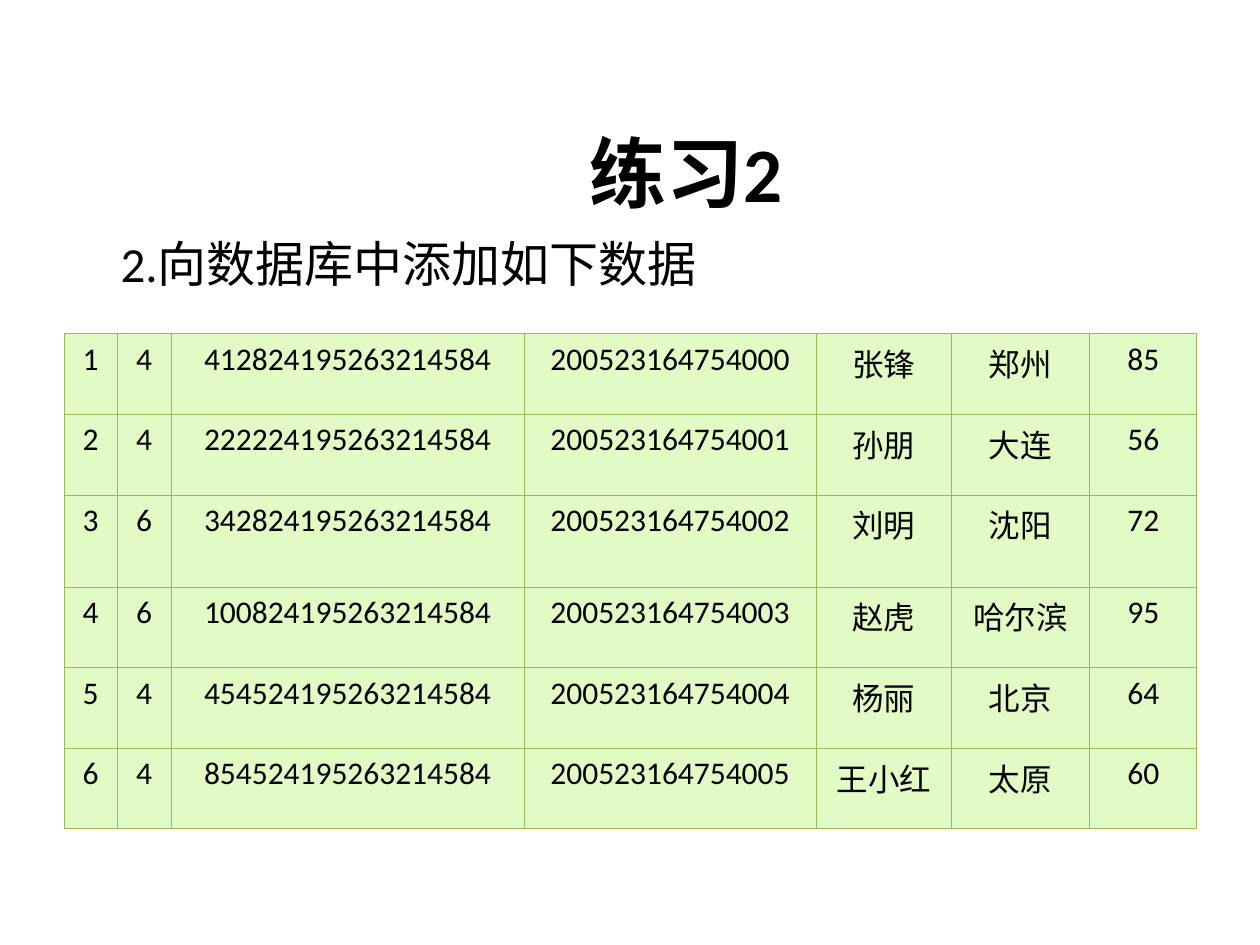
import pptx
import pptx.util
import pptx.dml.color
import pptx.enum.text
import pptx.oxml
import pptx.oxml.ns
from pptx.util import Inches

HUES = {"ink": "000000", "cell": "E2FAC3", "edge": "98B955"}
FONT = "Calibri"
ALIGN = pptx.enum.text.PP_ALIGN
ANCHOR = pptx.enum.text.MSO_ANCHOR
WIDTHS = [0.42, 0.43, 2.8, 2.32, 1.07, 1.1, 0.85]
HEIGHTS = [0.64, 0.64, 0.73, 0.64, 0.64, 0.64]
ROWS = [
    ("4", "412824195263214584", "张锋", "郑州", "85"),
    ("4", "222224195263214584", "孙朋", "大连", "56"),
    ("6", "342824195263214584", "刘明", "沈阳", "72"),
    ("6", "100824195263214584", "赵虎", "哈尔滨", "95"),
    ("4", "454524195263214584", "杨丽", "北京", "64"),
    ("4", "854524195263214584", "王小红", "太原", "60"),
]


def tint(name):
    return pptx.dml.color.RGBColor.from_string(HUES[name])


def style(frame, text, size, align, bold=False):
    frame.text = text
    para = frame.paragraphs[0]
    para.alignment = align
    for run in para.runs:
        run.font.name = FONT
        run.font.size = pptx.util.Pt(size)
        run.font.bold = bold
        run.font.color.rgb = tint("ink")


def label(slide, box, text, size, align, bold=False):
    frame = slide.shapes.add_textbox(*map(Inches, box)).text_frame
    frame.word_wrap = True
    frame.vertical_anchor = ANCHOR.MIDDLE
    style(frame, text, size, align, bold)


def border(cell):
    props = cell._tc.get_or_add_tcPr()
    space = pptx.oxml.ns.nsdecls("a")
    for spot, side in enumerate(("lnL", "lnR", "lnT", "lnB")):
        line = pptx.oxml.parse_xml(
            f'<a:{side} {space} w="9525"><a:solidFill>'
            f'<a:srgbClr val="{HUES["edge"]}"/></a:solidFill></a:{side}>')
        props.insert(spot, line)


def grid(slide, box):
    frame = slide.shapes.add_table(len(ROWS), len(WIDTHS), *map(Inches, box))
    table = frame.table
    table.first_row = False
    table.horz_banding = False
    for col, width in zip(table.columns, WIDTHS):
        col.width = Inches(width)
    for row, height in zip(table.rows, HEIGHTS):
        row.height = Inches(height)
    for r, (group, card, *rest) in enumerate(ROWS):
        values = [str(r + 1), group, card, f"200523164754{r:03d}", *rest]
        for c, value in enumerate(values):
            cell = table.cell(r, c)
            cell.fill.solid()
            cell.fill.fore_color.rgb = tint("cell")
            border(cell)
            style(cell.text_frame, value, 18, ALIGN.CENTER)
            props = cell.text_frame.paragraphs[0]._p.get_or_add_pPr()
            props.set("marL", str(Inches(0.38)))
            props.set("indent", str(-Inches(0.38)))


def build():
    deck = pptx.Presentation()
    deck.slide_width = Inches(10)
    deck.slide_height = Inches(7.5)
    slide = deck.slides.add_slide(deck.slide_layouts[6])
    label(slide, (3.82, 0.93, 3.25, 0.87), "练习2", 44, ALIGN.CENTER, True)
    grid(slide, (0.51, 2.65, sum(WIDTHS), sum(HEIGHTS)))
    label(slide, (0.86, 1.8, 5.04, 0.57), "2.向数据库中添加如下数据", 28, ALIGN.LEFT)
    deck.save("out.pptx")


build()
